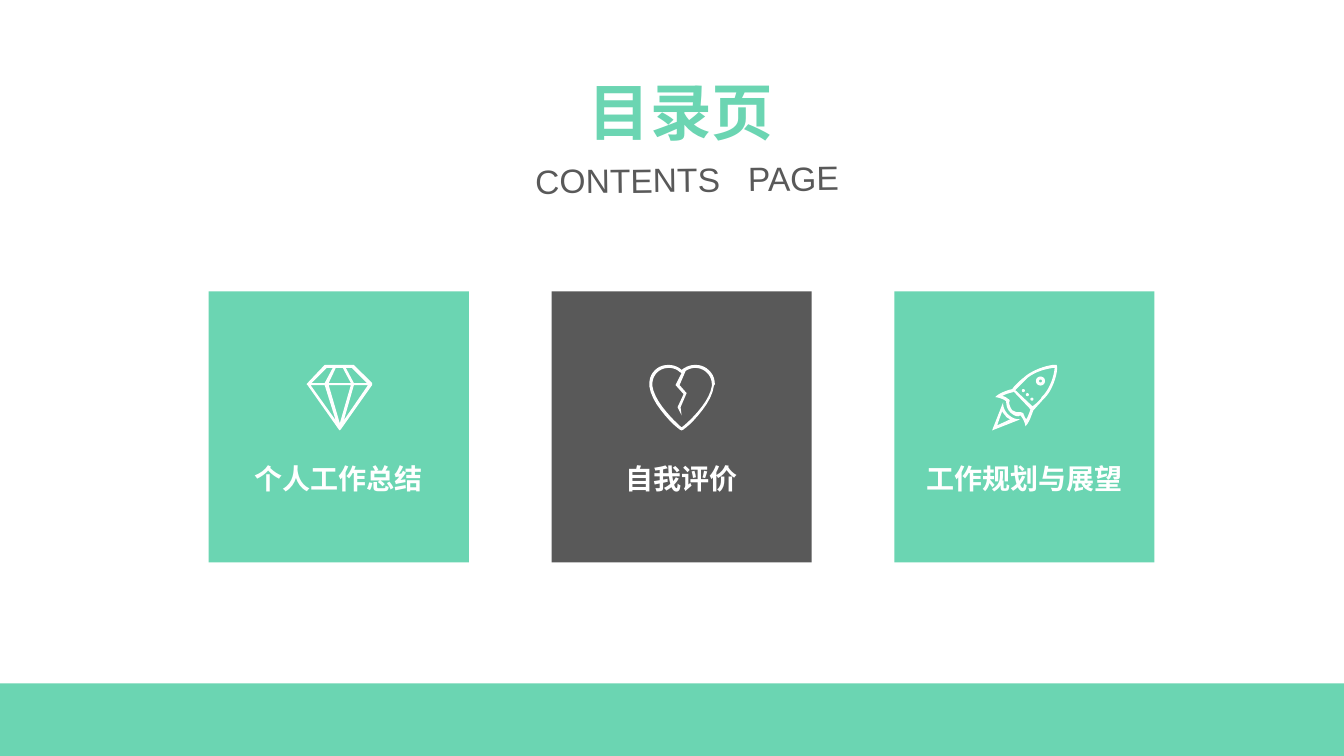
import math

import lxml.etree
import pptx
import pptx.dml.color
import pptx.enum.shapes
import pptx.enum.text
import pptx.oxml.ns
import pptx.util
from pptx.util import Inches

MINT = pptx.dml.color.RGBColor(0x6B, 0xD5, 0xB2)
GRAY = pptx.dml.color.RGBColor(0x59, 0x59, 0x59)
WHITE = pptx.dml.color.RGBColor(0xFF, 0xFF, 0xFF)
CHINESE_FONT = "Noto Sans CJK SC"

CARD_LEFT, CARD_TOP, CARD_PITCH = 2.07, 2.89, 3.4
CARD_WIDTH, CARD_HEIGHT = 2.58, 2.69
ICON_INSET_X, ICON_INSET_Y = 0.97, 0.73
CURVE_STEPS = 10


def circle(x, y, radius):
    angles = [math.tau * step / 24 for step in range(24)]
    return [(x + radius * math.cos(a), y + radius * math.sin(a)) for a in angles]


# Icon contours in hundredths of an inch: a pair is a corner,
# six numbers are a cubic curve (two control points and an end).
DIAMOND = [
    [(65, 19), (65, 18), (47, 0), (18, 0), (1, 18), (0, 19), (1, 20),
     (32, 64), (33, 65), (34, 64), (65, 20)],
    [(45, 3), (60, 18), (47, 18), (39, 3)],
    [(36, 3), (44, 18), (22, 18), (29, 3)],
    [(20, 3), (26, 3), (18, 18), (5, 18)],
    [(4, 20), (18, 20), (29, 55)],
    [(33, 58), (22, 20), (44, 20)],
    [(37, 55), (47, 20), (61, 20)],
]
BROKEN_HEART = [
    [(65, 19), (65, 8, 56, 0, 46, 0), (40, 0, 36, 2, 32, 5),
     (29, 2, 24, 0, 19, 0), (8, 0, 0, 8, 0, 19), (0, 21),
     (2, 40, 29, 65, 32, 65), (35, 65, 62, 40, 64, 21)],
    [(62, 21), (60, 37, 38, 58, 32, 62), (27, 58, 5, 37, 3, 21), (3, 19),
     (3, 10, 10, 3, 19, 3), (23, 3, 27, 4, 30, 7), (32, 8), (26, 20),
     (34, 29), (28, 42), (32, 50), (31, 42), (37, 28), (30, 20), (36, 6),
     (39, 4, 42, 3, 46, 3), (54, 3, 62, 10, 62, 19)],
]
ROCKET = [
    # flame
    [(11, 37), (0, 65), (28, 54), (27, 54), (18, 54, 10, 45, 11, 37)],
    [(5, 60), (10, 46), (11, 48, 12, 49, 13, 50), (14, 52, 16, 53, 18, 54)],
    # body
    [(64, 0), (62, 0), (55, 0, 39, 5, 31, 13), (28, 15, 21, 22, 20, 24),
     (15, 25, 7, 28, 3, 32), (3, 32, 8, 32, 14, 36),
     (14, 40, 15, 44, 18, 47), (20, 49, 23, 51, 26, 51), (28, 50),
     (33, 56, 33, 61, 33, 61), (37, 57, 39, 50, 41, 45),
     (43, 43, 49, 36, 51, 34), (62, 24, 66, 3, 64, 0)],
    # fins
    [(38, 44), (37, 48, 35, 52, 34, 54), (33, 53, 32, 51, 31, 48),
     (31, 48, 30, 47, 28, 47), (26, 47), (24, 47, 22, 46, 20, 45),
     (18, 42, 17, 40, 17, 37), (18, 35, 17, 34, 16, 34),
     (14, 32, 12, 31, 10, 31), (13, 29, 17, 28, 21, 27), (21, 26)],
    # nose
    [(49, 32), (49, 33, 48, 34, 47, 35), (45, 37, 42, 40, 40, 41), (23, 25),
     (25, 23, 28, 20, 30, 18), (31, 17, 32, 16, 33, 15),
     (40, 7, 56, 3, 62, 3), (62, 8, 58, 24, 49, 32)],
    # window and rivets
    circle(48, 16, 4.5), circle(48, 16, 1.5),
    circle(31, 25.5, 1.5), circle(35, 29.5, 1.5), circle(39.5, 34, 1.5),
]
CARDS = [
    ("个人工作总结", MINT, DIAMOND),
    ("自我评价", GRAY, BROKEN_HEART),
    ("工作规划与展望", MINT, ROCKET),
]


def flatten(contour):
    """Return the contour's points in thousandths of an inch."""
    points = []
    for segment in contour:
        if len(segment) == 2:
            points.append(segment)
            continue
        x0, y0 = points[-1]
        x1, y1, x2, y2, x3, y3 = segment
        for step in range(1, CURVE_STEPS + 1):
            t = step / CURVE_STEPS
            a, b, c, d = (1 - t) ** 3, 3 * t * (1 - t) ** 2, 3 * t * t * (1 - t), t ** 3
            points.append((a * x0 + b * x1 + c * x2 + d * x3,
                           a * y0 + b * y1 + c * y2 + d * y3))
    return [(round(10 * x), round(10 * y)) for x, y in points]


def paint(shape, color):
    shape.shadow.inherit = False
    shape.fill.solid()
    shape.fill.fore_color.rgb = color
    shape.line.fill.background()


def write_text(frame, text, *, size, color, font="Arial", bold=False, align=None,
               anchor=pptx.enum.text.MSO_ANCHOR.TOP, wrap=True, word_gap=0):
    """Fill the frame; word_gap widens the first space, in points."""
    frame.word_wrap = wrap
    frame.vertical_anchor = anchor
    paragraph = frame.paragraphs[0]
    paragraph.alignment = align
    for part in filter(None, text.partition(" ")):
        run = paragraph.add_run()
        run.text = part
        run.font.size = pptx.util.Pt(size)
        run.font.bold = bold
        run.font.color.rgb = color
        run.font.name = font
        properties = run.font._element
        east_asian = lxml.etree.SubElement(properties, pptx.oxml.ns.qn("a:ea"))
        east_asian.set("typeface", CHINESE_FONT)
        if part == " ":
            properties.set("spc", str(round(word_gap * 100)))


def add_block(slide, left, top, width, height, color):
    block = slide.shapes.add_shape(
        pptx.enum.shapes.MSO_SHAPE.RECTANGLE,
        Inches(left), Inches(top), Inches(width), Inches(height))
    paint(block, color)
    return block


def add_heading(slide, text, left, top, width, height, **text_format):
    heading = slide.shapes.add_textbox(
        Inches(left), Inches(top), Inches(width), Inches(height))
    write_text(heading.text_frame, text, **text_format)
    return heading


def add_icon(slide, contours, left, top):
    first, *others = [flatten(contour) for contour in contours]
    builder = slide.shapes.build_freeform(*first[0], scale=Inches(1) / 1000)
    builder.add_line_segments(first[1:], close=True)
    for points in others:
        builder.move_to(*points[0])
        builder.add_line_segments(points[1:], close=True)
    paint(builder.convert_to_shape(Inches(left), Inches(top)), WHITE)


def add_card(slide, left, label, color, icon):
    card = add_block(slide, left, CARD_TOP, CARD_WIDTH, CARD_HEIGHT, color)
    card.text_frame.margin_top = Inches(1.06)
    write_text(card.text_frame, label, size=20, color=WHITE, bold=True,
               align=pptx.enum.text.PP_ALIGN.CENTER,
               anchor=pptx.enum.text.MSO_ANCHOR.MIDDLE)
    add_icon(slide, icon, left + ICON_INSET_X, CARD_TOP + ICON_INSET_Y)


def main():
    deck = pptx.Presentation()
    deck.slide_width, deck.slide_height = Inches(13.33), Inches(7.5)
    slide = deck.slides.add_slide(deck.slide_layouts[6])

    for index, (label, color, icon) in enumerate(CARDS):
        add_card(slide, CARD_LEFT + index * CARD_PITCH, label, color, icon)

    add_heading(slide, "目录页", 5.74, 0.68, 2.05, 0.84, size=44, color=MINT,
                font=CHINESE_FONT, bold=True, wrap=False)
    subtitle = add_heading(slide, "CONTENTS PAGE", 5.21, 1.54, 3.32, 0.47,
                           size=24, color=GRAY, word_gap=13.3,
                           anchor=pptx.enum.text.MSO_ANCHOR.MIDDLE)
    subtitle.rotation = 359.3
    add_block(slide, 0, 6.78, 13.33, 0.72, MINT)
    deck.save("out.pptx")


if __name__ == "__main__":
    main()
